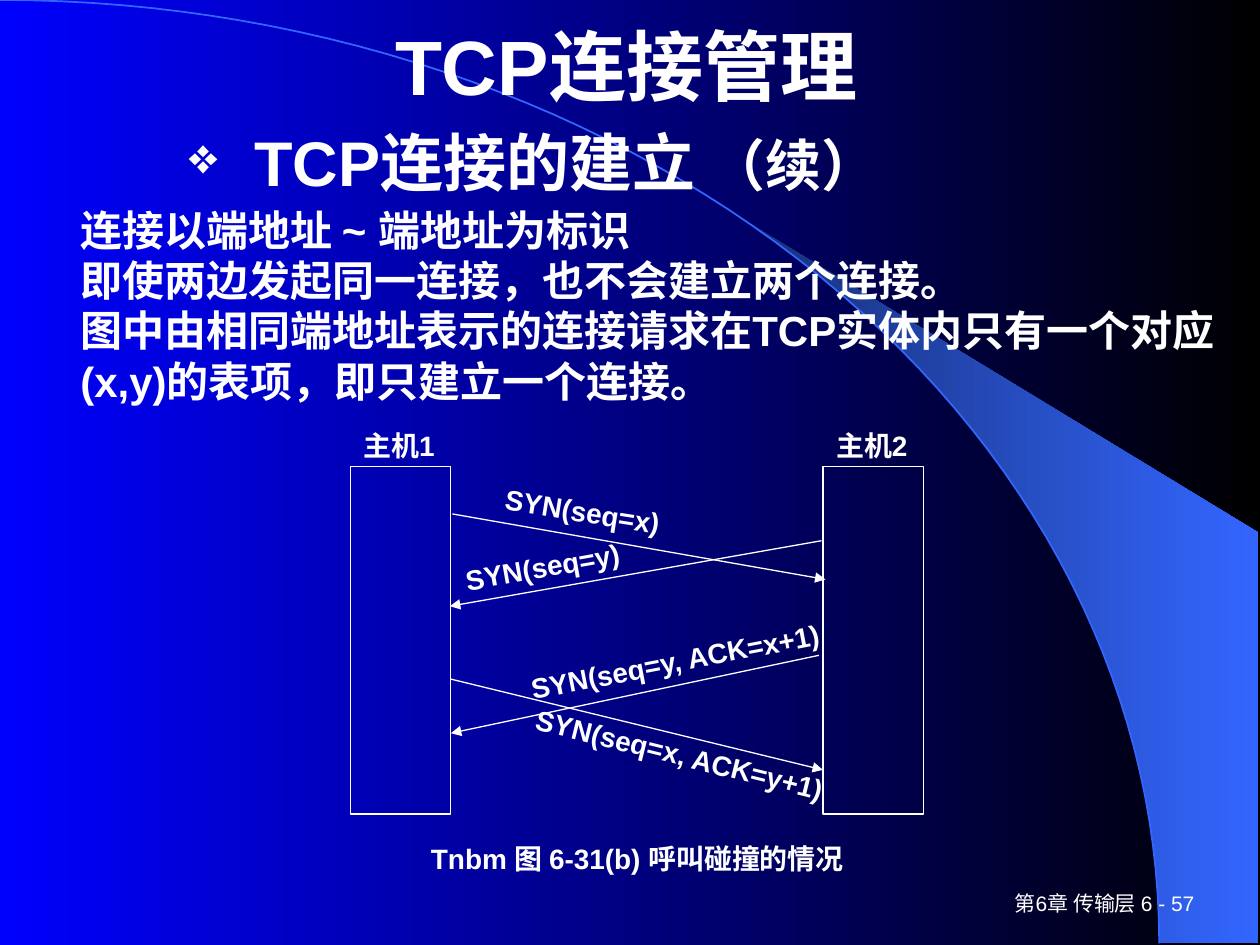
from math import acos, cos, pi, sin

from lxml import etree
from pptx import Presentation
from pptx.dml.color import RGBColor
from pptx.enum.shapes import MSO_CONNECTOR, MSO_SHAPE
from pptx.enum.text import MSO_ANCHOR, PP_ALIGN
from pptx.oxml.ns import qn
from pptx.util import Cm, Pt

WHITE = RGBColor(0xFF, 0xFF, 0xFF)
BLACK = RGBColor(0x00, 0x00, 0x00)
BLUE = RGBColor(0x00, 0x00, 0xFF)
SKY = RGBColor(0x33, 0x66, 0xFF)
NAVY = RGBColor(0x17, 0x2F, 0x75)

LEFT, CENTER, RIGHT = PP_ALIGN.LEFT, PP_ALIGN.CENTER, PP_ALIGN.RIGHT
TOP, MIDDLE = MSO_ANCHOR.TOP, MSO_ANCHOR.MIDDLE
RECTANGLE, STRAIGHT = MSO_SHAPE.RECTANGLE, MSO_CONNECTOR.STRAIGHT

ARC_W, ARC_H = 23.37, 19.02
WING_X, EDGE_X, EDGE_Y = 14.96, 25.37, 10.74


def arc_points(start, steps=60):
    """Points on the quarter ellipse, from angle start down to its right end."""
    angles = [start * (1 - i / steps) for i in range(steps + 1)]
    return [(ARC_W * cos(a), ARC_H * (1 - sin(a))) for a in angles]


class Deck:
    font = "Arial"
    color = WHITE
    line_width = Pt(0.75)

    def __init__(self, prs):
        self.slide = prs.slides.add_slide(prs.slide_layouts[6])
        self.shapes = self.slide.shapes

    def gradient(self, fill, left_color, right_color):
        fill.gradient()
        fill.gradient_angle = 0
        for stop, color, pos in zip(fill.gradient_stops,
                                    (left_color, right_color), (0, 1)):
            stop.color.rgb = color
            stop.position = pos

    def outline(self, points, close):
        start, *rest = [(Cm(x), Cm(y)) for x, y in points]
        builder = self.shapes.build_freeform(*start)
        builder.add_line_segments(rest, close=close)
        sp = builder.convert_to_shape()
        sp.shadow.inherit = False
        return sp

    def text(self, box, paragraphs, size, align=CENTER, anchor=TOP,
             bold=True, rotation=0, spacing=None, bullet=None):
        """Each paragraph is a string or a list of (text, size) runs."""
        sp = self.shapes.add_textbox(*map(Cm, box))
        sp.rotation = rotation
        tf = sp.text_frame
        tf.word_wrap = True
        tf.vertical_anchor = anchor
        for i, runs in enumerate(paragraphs):
            p = tf.paragraphs[0] if i == 0 else tf.add_paragraph()
            p.alignment = align
            if spacing:
                p.line_spacing = spacing
            if bullet:
                self.bullet(p, bullet)
            if isinstance(runs, str):
                runs = [(runs, size)]
            for words, run_size in runs:
                r = p.add_run()
                r.text = words
                r.font.name = self.font
                r.font.size = Pt(run_size)
                r.font.bold = bold
                r.font.color.rgb = self.color

    def bullet(self, p, char, indent=Cm(1.32)):
        pPr = p._p.get_or_add_pPr()
        pPr.set("marL", str(indent))
        pPr.set("indent", str(-indent))
        color = etree.SubElement(pPr, qn("a:buClr"))
        etree.SubElement(color, qn("a:srgbClr")).set("val", str(self.color))
        etree.SubElement(pPr, qn("a:buSzPct")).set("val", "80000")
        etree.SubElement(pPr, qn("a:buChar")).set("char", char)

    def rect(self, box):
        sp = self.shapes.add_shape(RECTANGLE, *map(Cm, box))
        sp.shadow.inherit = False
        sp.fill.background()
        sp.line.color.rgb = self.color
        sp.line.width = self.line_width

    def arrow(self, ends):
        cxn = self.shapes.add_connector(STRAIGHT, *map(Cm, ends))
        cxn.line.color.rgb = self.color
        cxn.line.width = self.line_width
        ln = cxn.line._get_or_add_ln()
        etree.SubElement(ln, qn("a:tailEnd")).set("type", "triangle")
        etree.SubElement(cxn._element.spPr, qn("a:effectLst"))


def draw_backdrop(deck):
    deck.gradient(deck.slide.background.fill, BLUE, BLACK)
    corner = [(EDGE_X, ARC_H), (EDGE_X, EDGE_Y)]
    wing = deck.outline(arc_points(acos(WING_X / ARC_W)) + corner, close=True)
    deck.gradient(wing.fill, NAVY, SKY)
    wing.line.fill.background()
    arc = deck.outline(arc_points(pi / 2), close=False)
    arc.fill.background()
    arc.line.color.rgb = SKY
    arc.line.width = Pt(1)


def draw_handshake(deck):
    for x, name in ((7.06, "主机1"), (16.59, "主机2")):
        deck.text((x - 0.68, 8.51, 3.33, 0.86), [name], 16)
        deck.rect((x, 9.4, 2.03, 7.01))

    messages = [
        ("SYN(seq=x)", (9.12, 10.36, 16.64, 11.68), (8.71, 9.88, 6.05, 0.95), 9),
        ("SYN(seq=y)", (16.56, 10.9, 9.07, 12.22), (7.92, 11, 6.05, 0.95), -10),
        ("SYN(seq=y, ACK=x+1)", (16.51, 13.21, 9.09, 14.78),
         (9.68, 12.9, 7.87, 0.95), -11),
        ("SYN(seq=x, ACK=y+1)", (9.09, 13.69, 16.59, 15.52),
         (9.75, 14.78, 7.87, 0.95), 14),
    ]
    for label, ends, box, angle in messages:
        deck.arrow(ends)
        deck.text(box, [label], 16, rotation=angle, spacing=0.96)


def main():
    prs = Presentation()
    prs.slide_width, prs.slide_height = Cm(25.4), Cm(19.05)
    deck = Deck(prs)
    draw_backdrop(deck)
    deck.text((19.05, 17.78, 5.28, 0.84), ["第6章 传输层 6 - 57"], 12,
              align=RIGHT, anchor=MIDDLE, bold=False)
    deck.text((1.83, 0.33, 21.59, 1.96), ["TCP连接管理"], 44, anchor=MIDDLE)
    deck.text((3.56, 2.36, 16.36, 1.91),
              [[("TCP连接的建立 ", 36), ("（续）", 32)]], 36,
              align=LEFT, bullet="❖")
    deck.text((1.37, 3.99, 23.44, 4.32), [
        "连接以端地址 ~ 端地址为标识",
        "即使两边发起同一连接，也不会建立两个连接。",
        "图中由相同端地址表示的连接请求在TCP实体内只有一个对应(x,y)的表项，"
        "即只建立一个连接。",
    ], 24, align=LEFT)
    draw_handshake(deck)
    deck.text((7.06, 16.89, 11.58, 0.97), ["Tnbm 图 6-31(b) 呼叫碰撞的情况"],
              16, spacing=0.96)
    prs.save("out.pptx")


if __name__ == "__main__":
    main()
